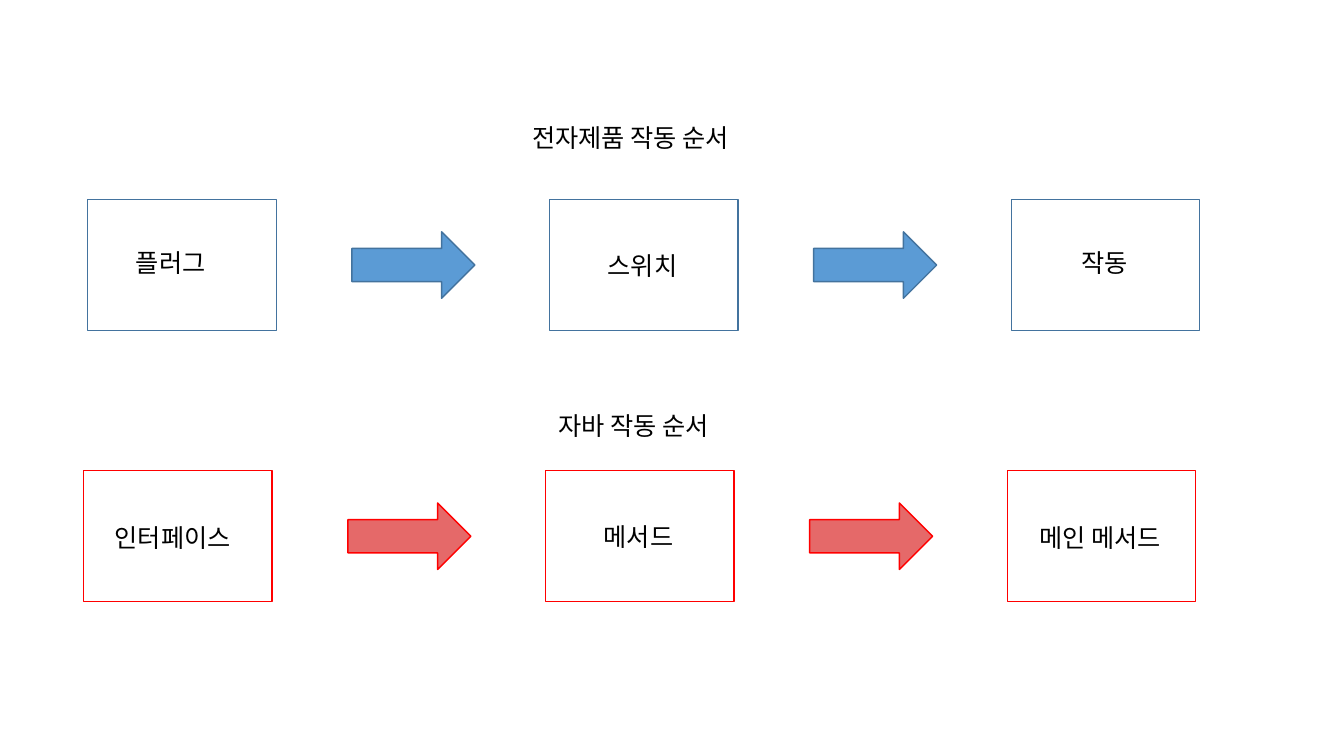
"""Build a slide that compares the working order of appliances with that of Java."""
from pptx import Presentation
from pptx.dml.color import RGBColor
from pptx.enum.shapes import MSO_SHAPE
from pptx.oxml.ns import qn
from pptx.util import Inches, Pt

FONT = "Noto Sans CJK KR"
STEP_PITCH = 4.58
BOX_WIDTH, BOX_HEIGHT = 1.87, 1.3
ARROW_WIDTH, ARROW_HEIGHT = 1.22, 0.66
ARROW_OFFSET_X, ARROW_OFFSET_Y = 2.62, 0.32


def add_text(group, text, left, top, width, height=0.4, size=18, color="000000"):
    text_box = group.shapes.add_textbox(
        Inches(left), Inches(top), Inches(width), Inches(height))
    text_box.text_frame.word_wrap = True
    run = text_box.text_frame.paragraphs[0].add_run()
    run.text = text
    run.font.name = FONT
    run.font.size = Pt(size)
    run.font.color.rgb = RGBColor.from_string(color)
    east_asian = run.font._element.makeelement(qn("a:ea"), {"typeface": FONT})
    run.font._element.find(qn("a:latin")).addnext(east_asian)


def add_outlined_shape(group, kind, left, top, width, height, line, fill=None):
    shape = group.shapes.add_shape(
        kind, Inches(left), Inches(top), Inches(width), Inches(height))
    shape.shadow.inherit = False
    shape.line.color.rgb = RGBColor.from_string(line)
    shape.line.width = Pt(1)
    if fill:
        shape.fill.solid()
        shape.fill.fore_color.rgb = RGBColor.from_string(fill)
    else:
        shape.fill.background()


presentation = Presentation()
presentation.slide_width = Inches(13.33)
presentation.slide_height = Inches(7.5)
slide = presentation.slides.add_slide(presentation.slide_layouts[6])

flows = [
    {"left": 0.87, "top": 1.98, "line": "43739E", "fill": "5B9BD5",
     "heading": ("전자제품 작동 순서", 5.18, 1.16, 2.4),
     "steps": [("플러그", 1.25, 2.4, 1.11),
               ("스위치", 5.93, 2.43, 1.17),
               ("작동", 10.63, 2.4, 1.27)]},
    {"left": 0.83, "top": 4.67, "line": "FF0000", "fill": "E56969",
     "heading": ("자바 작동 순서", 5.44, 4.02, 1.9),
     "steps": [("인터페이스", 1.04, 5.13, 1.58),
               ("메서드", 5.89, 5.12, 1.17),
               ("메인 메서드", 10.21, 5.13, 1.55)]},
]

for flow in flows:
    group = slide.shapes.add_group_shape()
    for index, step in enumerate(flow["steps"]):
        box_left = flow["left"] + index * STEP_PITCH
        add_text(group, *step)
        add_outlined_shape(group, MSO_SHAPE.RECTANGLE, box_left, flow["top"],
                           BOX_WIDTH, BOX_HEIGHT, flow["line"])
        if index < len(flow["steps"]) - 1:
            add_outlined_shape(group, MSO_SHAPE.RIGHT_ARROW,
                               box_left + ARROW_OFFSET_X, flow["top"] + ARROW_OFFSET_Y,
                               ARROW_WIDTH, ARROW_HEIGHT, flow["line"], flow["fill"])
    add_text(group, *flow["heading"])

presentation.save("out.pptx")
